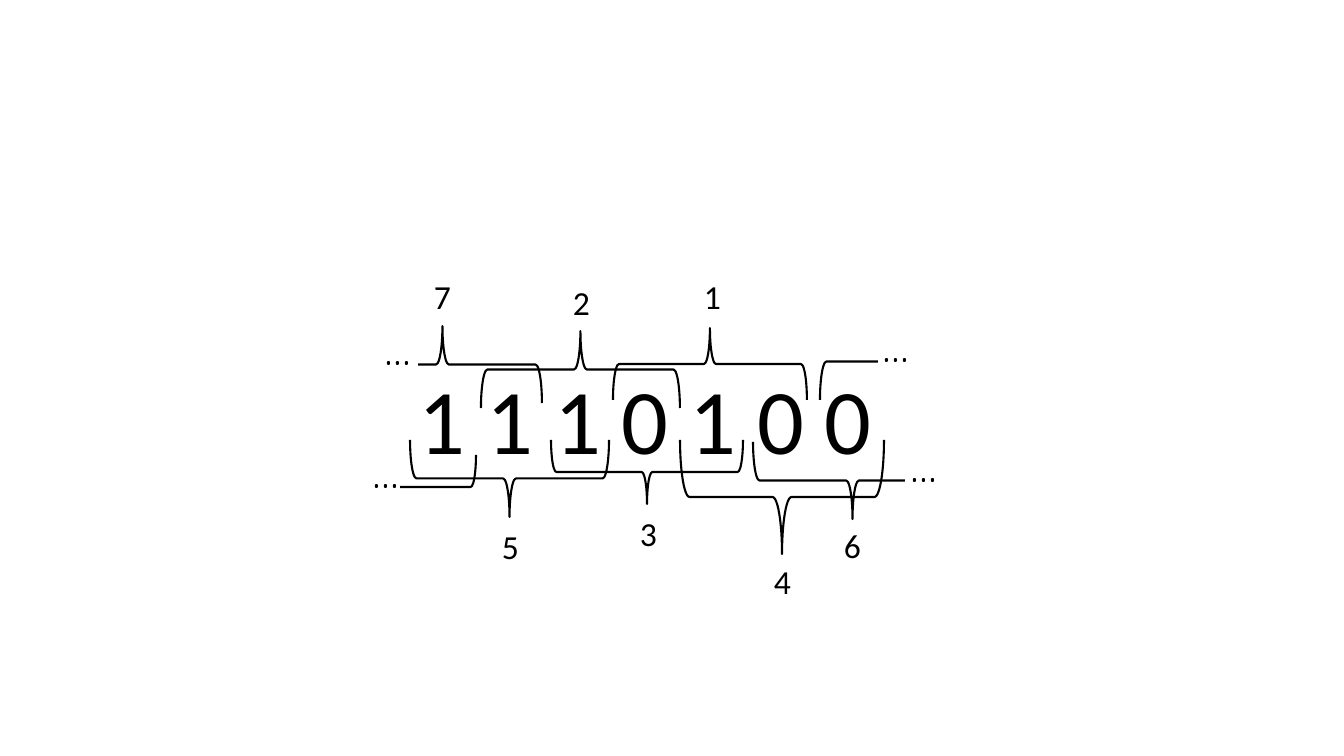
from dataclasses import dataclass
from typing import Optional

from pptx import Presentation
from pptx import util as u
from pptx.dml.color import RGBColor
from pptx.enum import shapes, text
from pptx.shapes.autoshape import Shape

EMU_PER_PIXEL = 914400 / 100.8
LABEL_SIZE = (34, 50)
DOT_SIZE = (5, 6)
DOT_STEP = 9


@dataclass(frozen=True)
class Theme:
    """Colours, font, type sizes and line widths."""
    ink: RGBColor = RGBColor(0, 0, 0)
    paper: RGBColor = RGBColor(255, 255, 255)
    font: str = "Calibri"
    digits: int = 66
    label: int = 24
    brace_line: float = 1.5
    edge_line: float = 1


@dataclass(frozen=True)
class Box:
    """A rectangle in pixels, as it shows on the slide."""
    left: int
    top: int
    width: int
    height: int


@dataclass(frozen=True)
class Window:
    """A brace over three digits, its number, and where it is cut off."""
    brace: Box
    opens_down: bool
    number: str = ""
    label_at: tuple[int, int] = (0, 0)
    cover: Optional[Box] = None
    dots_at: tuple[int, int] = (0, 0)


THEME = Theme()
DIGITS = Box(409, 357, 507, 122)
WINDOWS = [
    Window(Box(613, 328, 194, 72), True, "1", (694, 271)),
    Window(Box(481, 331, 199, 77), True, "2", (563, 277)),
    Window(Box(551, 440, 192, 64), False, "3", (630, 508)),
    Window(Box(680, 440, 204, 114), False, "4", (764, 556)),
    Window(Box(410, 440, 199, 77), False, "5", (492, 521)),
    Window(Box(753, 442, 199, 77), False, "6", (834, 520),
           Box(906, 407, 77, 77), (912, 477)),
    Window(Box(343, 326, 199, 77), True, "7", (424, 271),
           Box(340, 356, 77, 77), (386, 360)),
    Window(Box(820, 323, 199, 77), True,
           cover=Box(879, 284, 199, 144), dots_at=(884, 357)),
    Window(Box(284, 455, 192, 64), False,
           cover=Box(232, 420, 167, 151), dots_at=(374, 483)),
]


def px(pixels: float) -> u.Emu:
    """Turn pixels into EMU."""
    return u.Emu(round(pixels * EMU_PER_PIXEL))


def frame(box: Box) -> tuple[u.Emu, ...]:
    """Give the left, top, width and height of a box in EMU."""
    return px(box.left), px(box.top), px(box.width), px(box.height)


def add_text(page, box: Box, words: str, *, size: int,
             font: str = THEME.font, color: RGBColor = THEME.ink) -> None:
    """Add one line of text in a box that grows with it."""
    body = page.shapes.add_textbox(*frame(box)).text_frame
    body.word_wrap = True
    body.auto_size = text.MSO_AUTO_SIZE.SHAPE_TO_FIT_TEXT
    span = body.paragraphs[0].add_run()
    span.text = words
    span.font.size = u.Pt(size)
    span.font.name = font
    span.font.color.rgb = color


def add_preset(page, kind: shapes.MSO_SHAPE, box: Box, *,
               fill: Optional[RGBColor], line: RGBColor, width: float) -> Shape:
    """Add a preset shape without a shadow."""
    shape = page.shapes.add_shape(kind, *frame(box))
    shape.shadow.inherit = False
    if fill is None:
        shape.fill.background()
    else:
        shape.fill.solid()
        shape.fill.fore_color.rgb = fill
    shape.line.color.rgb = line
    shape.line.width = u.Pt(width)
    return shape


def add_brace(page, box: Box, opens_down: bool) -> None:
    """Add a right brace turned to lie along the digits."""
    shift = (box.width - box.height) / 2
    upright = Box(box.left + shift, box.top - shift, box.height, box.width)
    brace = add_preset(page, shapes.MSO_SHAPE.RIGHT_BRACE, upright,
                       fill=None, line=THEME.ink, width=THEME.brace_line)
    brace.rotation = 270 if opens_down else 90


def add_cut(page, cover: Box, dots_at: tuple[int, int]) -> None:
    """Cover the end of a brace and continue it with three dots."""
    add_preset(page, shapes.MSO_SHAPE.RECTANGLE, cover,
               fill=THEME.paper, line=THEME.paper, width=THEME.edge_line)
    left, top = dots_at
    for index in range(3):
        add_preset(page, shapes.MSO_SHAPE.OVAL,
                   Box(left + index * DOT_STEP, top, *DOT_SIZE),
                   fill=THEME.ink, line=THEME.paper, width=THEME.edge_line)


def add_window(page, window: Window) -> None:
    """Draw a brace with its number and its cut-off end."""
    add_brace(page, window.brace, window.opens_down)
    if window.number:
        add_text(page, Box(*window.label_at, *LABEL_SIZE), window.number,
                 size=THEME.label)
    if window.cover:
        add_cut(page, window.cover, window.dots_at)


def main() -> None:
    """Build the slide and save it."""
    deck = Presentation()
    deck.slide_width, deck.slide_height = px(1344), px(756)
    page = deck.slides.add_slide(deck.slide_layouts[6])
    add_text(page, DIGITS, "1 1 1 0 1 0 0", size=THEME.digits)
    for window in WINDOWS:
        add_window(page, window)
    deck.save("out.pptx")


main()
